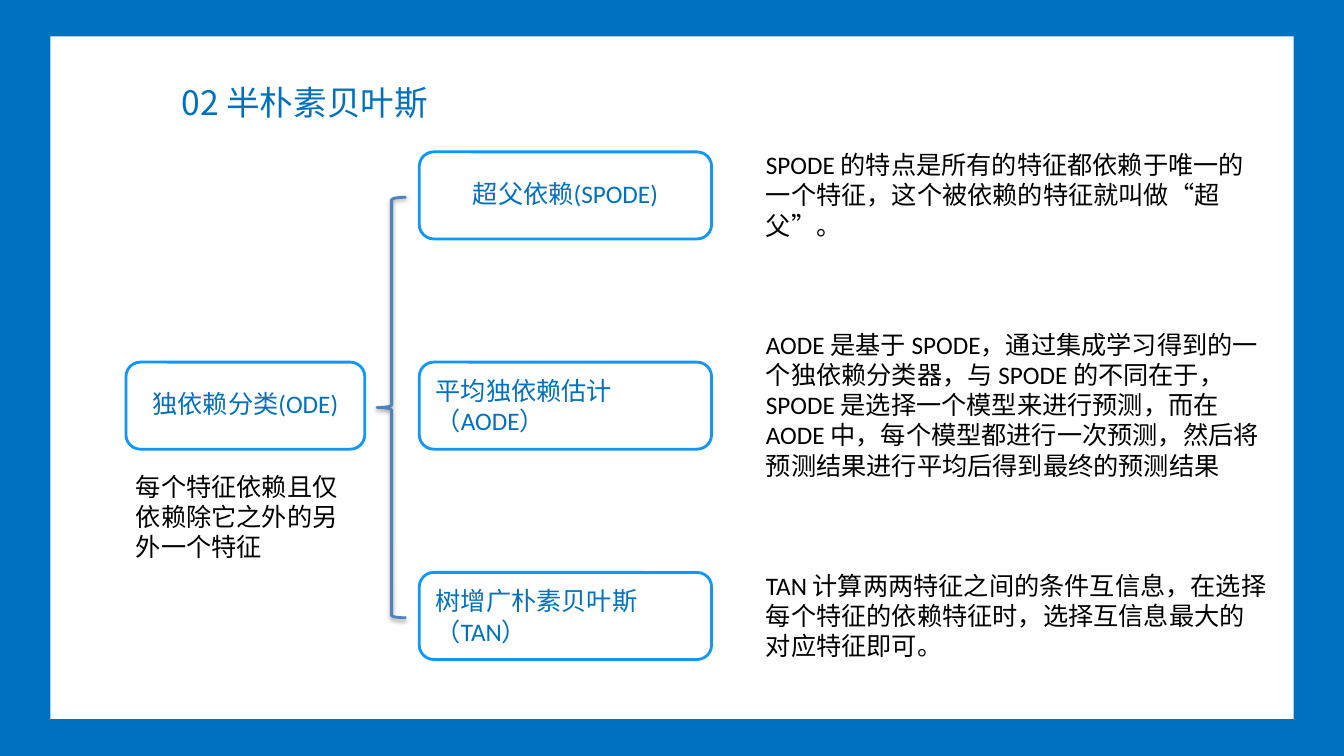
from lxml import etree
from pptx import Presentation
from pptx.dml.color import RGBColor
from pptx.enum.shapes import MSO_SHAPE
from pptx.enum.text import MSO_ANCHOR, MSO_AUTO_SIZE, PP_ALIGN
from pptx.oxml.ns import qn
from pptx.util import Pt

RECTANGLE = MSO_SHAPE.RECTANGLE
ROUNDED = MSO_SHAPE.ROUNDED_RECTANGLE
BRACE = MSO_SHAPE.LEFT_BRACE
LEFT, CENTER = PP_ALIGN.LEFT, PP_ALIGN.CENTER
TOP, MIDDLE = MSO_ANCHOR.TOP, MSO_ANCHOR.MIDDLE
TITLE_ONLY = 5
LATIN, CHINESE = "Calibri", "Noto Sans CJK SC"
COLORS = {
    "blue": "0070C0",
    "outline": "0D97FF",
    "brace": "4F81BD",
    "white": "FFFFFF",
    "black": "000000",
}
BRANCHES = [
    ("超父依赖(SPODE)", CENTER, 363, 72.7,
     "SPODE 的特点是所有的特征都依赖于唯一的一个特征，这个被依赖的特征就叫做“超父”。"),
    ("平均独依赖估计（AODE）", LEFT, 368.6, 116.6,
     "AODE 是基于 SPODE，通过集成学习得到的一个独依赖分类器，与 SPODE 的不同在于，"
     "SPODE 是选择一个模型来进行预测，而在 AODE 中，每个模型都进行一次预测，"
     "然后将预测结果进行平均后得到最终的预测结果"),
    ("树增广朴素贝叶斯（TAN）", LEFT, 373.7, 72.7,
     "TAN 计算两两特征之间的条件互信息，在选择每个特征的依赖特征时，选择互信息最大的对应特征即可。"),
]
NODE_HEIGHT = 62.2
BRANCH_STEP = 150.2


def color(name):
    return RGBColor.from_string(COLORS[name])


def write(shape, text, color_name, size=18, font=LATIN, align=LEFT, anchor=TOP):
    frame = shape.text_frame
    frame.word_wrap = True
    frame.auto_size = MSO_AUTO_SIZE.NONE
    frame.vertical_anchor = anchor
    frame.text = text
    paragraph = frame.paragraphs[0]
    paragraph.alignment = align
    run = paragraph.runs[0]
    run.font.size = Pt(size)
    run.font.name = font
    run.font.color.rgb = color(color_name)
    east_asian = etree.SubElement(run.font._element, qn("a:ea"))
    east_asian.set("typeface", CHINESE)


def add_shape(slide, kind, box, fill=None, line=None):
    shape = slide.shapes.add_shape(kind, *map(Pt, box))
    shape.shadow.inherit = False
    if fill:
        shape.fill.solid()
        shape.fill.fore_color.rgb = color(fill)
    else:
        shape.fill.background()
    if line:
        shape.line.color.rgb = color(line)
        shape.line.width = Pt(2)
    else:
        shape.line.fill.background()
    return shape


def add_alpha(color_element, percent):
    etree.SubElement(color_element, qn("a:alpha")).set("val", str(percent * 1000))


def add_shadow(shape, color_name, opacity, blur, distance, angle):
    effects = shape._element.spPr.find(qn("a:effectLst"))
    shadow = etree.SubElement(effects, qn("a:outerShdw"))
    shadow.set("blurRad", str(Pt(blur)))
    shadow.set("dist", str(Pt(distance)))
    shadow.set("dir", str(angle * 60000))
    shadow.set("rotWithShape", "0")
    shade = etree.SubElement(shadow, qn("a:srgbClr"))
    shade.set("val", COLORS[color_name])
    add_alpha(shade, opacity)


def add_node(slide, box, text, align):
    node = add_shape(slide, ROUNDED, box, "white", "outline")
    add_alpha(node._element.spPr.find(".//" + qn("a:srgbClr")), 90)
    frame = node.text_frame
    frame.margin_left = frame.margin_right = Pt(8.64)
    frame.margin_top = frame.margin_bottom = Pt(8.64)
    write(node, text, "blue", align=align, anchor=MIDDLE)
    if align == CENTER:
        paragraph = frame.paragraphs[0]
        paragraph.line_spacing = 0.9
        paragraph.space_after = Pt(6.3)


def add_note(slide, box, text):
    write(slide.shapes.add_textbox(*map(Pt, box)), text, "black")


def add_frame(slide, box):
    slide.background.fill.solid()
    slide.background.fill.fore_color.rgb = color("blue")
    panel = add_shape(slide, RECTANGLE, box, "white")
    add_shadow(panel, "blue", 40, 5, 0, 0)
    slide.shapes._spTree.insert(2, panel._element)


def add_title(slide, box):
    title = slide.shapes.title
    title.left, title.top, title.width, title.height = map(Pt, box)
    write(title, "02 半朴素贝叶斯", "blue", 24, CHINESE)


def add_root(slide, box):
    left, top, width, height = box
    add_node(slide, (left, top, width, NODE_HEIGHT), "独依赖分类(ODE)", CENTER)
    note_top = NODE_HEIGHT + 12
    add_note(slide, (left, top + note_top, width, height - note_top),
             "每个特征依赖且仅依赖除它之外的另外一个特征")


def add_branches(slide, box):
    left, top, width, height = box
    brace_top = top + NODE_HEIGHT / 2 + 1.3
    brace = add_shape(slide, BRACE, (left, brace_top, 20.9, height - NODE_HEIGHT),
                      line="brace")
    add_shadow(brace, "black", 38, 3.1, 1.6, 90)
    for index, (label, align, note_width, note_height, note) in enumerate(BRANCHES):
        node_top = top + index * BRANCH_STEP
        add_node(slide, (left + 30.2, node_top, 208.8, NODE_HEIGHT), label, align)
        note_top = node_top + (NODE_HEIGHT - note_height) / 2
        note_left = left + width - 373.7
        add_note(slide, (note_left, note_top, note_width, note_height), note)


def main():
    presentation = Presentation()
    presentation.slide_width, presentation.slide_height = Pt(960), Pt(540)
    slide = presentation.slides.add_slide(presentation.slide_layouts[TITLE_ONLY])
    add_frame(slide, (36, 26, 888, 487.5))
    add_title(slide, (122.4, 54.7, 207.4, 36))
    add_root(slide, (90, 258.7, 170.6, 146.9))
    add_branches(slide, (269.3, 108.5, 644.4, 2 * BRANCH_STEP + NODE_HEIGHT))
    presentation.save("out.pptx")


if __name__ == "__main__":
    main()
